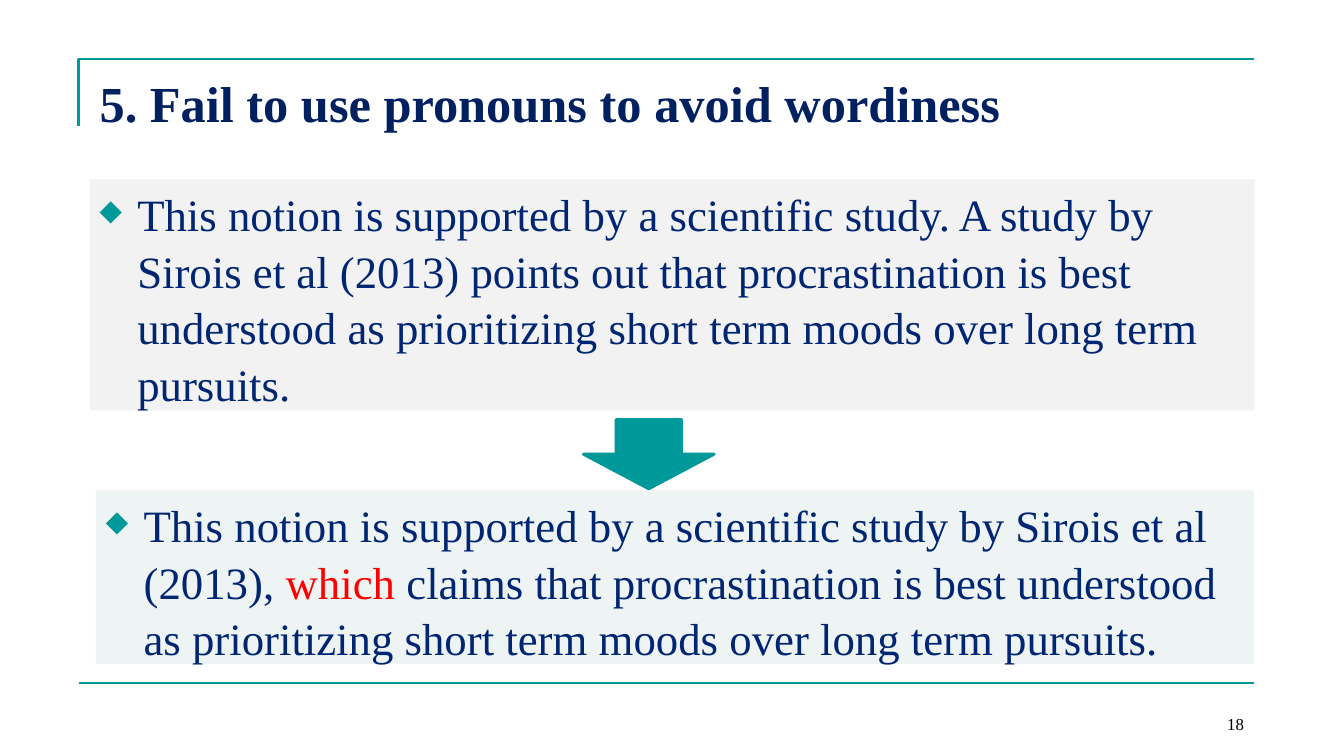
from lxml.etree import SubElement
from pptx import Presentation
from pptx.dml.color import RGBColor
from pptx.enum.shapes import MSO_CONNECTOR, MSO_SHAPE
from pptx.enum.text import MSO_ANCHOR, PP_ALIGN
from pptx.oxml.ns import qn
from pptx.util import Cm, Pt

# Content
TITLE = "5. Fail to use pronouns to avoid wordiness"
PAGE_NUMBER = "18"
NAVY, BLUE, TEAL, RED, BLACK = "002060", "002673", "009999", "FF0000", "000000"
FONT = "Times New Roman"
# Each example: left, top, width, height (cm), fill, coloured runs
EXAMPLES = [
    ((2.26, 4.52, 29.36, 5.82), "F2F2F2", [
        ("This notion is supported by a scientific study. A study by Sirois et al "
         "(2013) points out that procrastination is best understood as prioritizing "
         "short term moods over long term pursuits.", BLUE)]),
    ((2.42, 12.36, 29.18, 4.37), "EEF4F4", [
        ("This notion is supported by a scientific study by Sirois et al (2013), ", BLUE),
        ("which", RED),
        (" claims that procrastination is best understood as prioritizing short term "
         "moods over long term pursuits.", BLUE)]),
]
FRAME_LEFT, FRAME_RIGHT, FRAME_TOP, FRAME_BOTTOM = 1.98, 31.6, 1.48, 17.2
CORNER_HEIGHT = 1.7
INDENT = 0.95


def color(value):
    return RGBColor.from_string(value)


def set_line(shape, width):
    shape.line.color.rgb = color(TEAL)
    shape.line.width = Pt(width)


def write(shape, runs, size, bold=False, align=PP_ALIGN.LEFT,
          anchor=MSO_ANCHOR.TOP, spacing=1.0, bullet=False):
    frame = shape.text_frame
    frame.word_wrap = True
    frame.vertical_anchor = anchor
    paragraph = frame.paragraphs[0]
    paragraph.alignment = align
    paragraph.line_spacing = spacing
    if bullet:
        properties = paragraph._p.get_or_add_pPr()
        properties.set("marL", str(Cm(INDENT)))
        properties.set("indent", str(-Cm(INDENT)))
        bullet_color = SubElement(properties, qn("a:buClr"))
        SubElement(bullet_color, qn("a:srgbClr"), val=TEAL)
        SubElement(properties, qn("a:buSzPct"), val="65000")
        SubElement(properties, qn("a:buChar"), char="◆")
    for text, run_color in runs:
        run = paragraph.add_run()
        run.text = text
        run.font.name = FONT
        run.font.size = Pt(size)
        run.font.bold = bold
        run.font.color.rgb = color(run_color)


def add_filled(slide, preset, box, fill):
    shape = slide.shapes.add_shape(preset, *map(Cm, box))
    shape.shadow.inherit = False
    shape.fill.solid()
    shape.fill.fore_color.rgb = color(fill)
    shape.line.fill.background()
    return shape


presentation = Presentation()
presentation.slide_width, presentation.slide_height = Cm(33.87), Cm(19.05)
slide = presentation.slides.add_slide(presentation.slide_layouts[6])

# Frame: open corner above, rule below
builder = slide.shapes.build_freeform(Cm(FRAME_LEFT), Cm(FRAME_TOP + CORNER_HEIGHT))
builder.add_line_segments([(Cm(FRAME_LEFT), Cm(FRAME_TOP)),
                           (Cm(FRAME_RIGHT), Cm(FRAME_TOP))], close=False)
corner = builder.convert_to_shape()
corner.shadow.inherit = False
corner.fill.background()
set_line(corner, 1.5)

rule = slide.shapes.add_connector(MSO_CONNECTOR.STRAIGHT, Cm(FRAME_LEFT),
                                  Cm(FRAME_BOTTOM), Cm(FRAME_RIGHT), Cm(FRAME_BOTTOM))
SubElement(rule._element.spPr, qn("a:effectLst"))
set_line(rule, 1.5)

# Title
title = slide.shapes.add_textbox(Cm(2.26), Cm(1.7), Cm(29.06), Cm(2.46))
write(title, [(TITLE, NAVY)], 36, bold=True)

# Wordy and improved examples
for box, fill, runs in EXAMPLES:
    example = add_filled(slide, MSO_SHAPE.RECTANGLE, box, fill)
    write(example, runs, 32, spacing=1.05, bullet=True)

# Arrow between the examples
arrow = add_filled(slide, MSO_SHAPE.DOWN_ARROW, (14.7, 10.57, 3.3, 1.75), TEAL)
set_line(arrow, 2)

# Page number
number = slide.shapes.add_textbox(Cm(23.7), Cm(17.35), Cm(7.9), Cm(1.27))
write(number, [(PAGE_NUMBER, BLACK)], 12, align=PP_ALIGN.RIGHT,
      anchor=MSO_ANCHOR.BOTTOM)

presentation.save("out.pptx")
